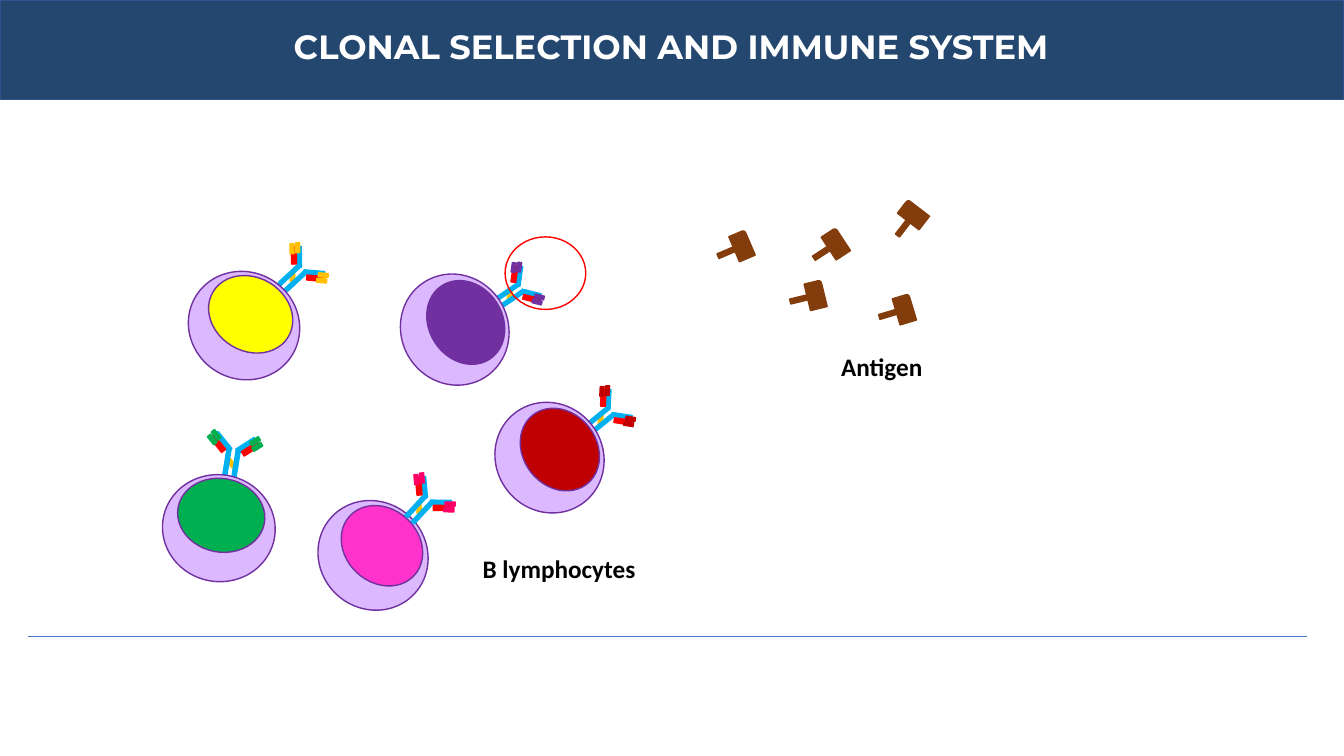
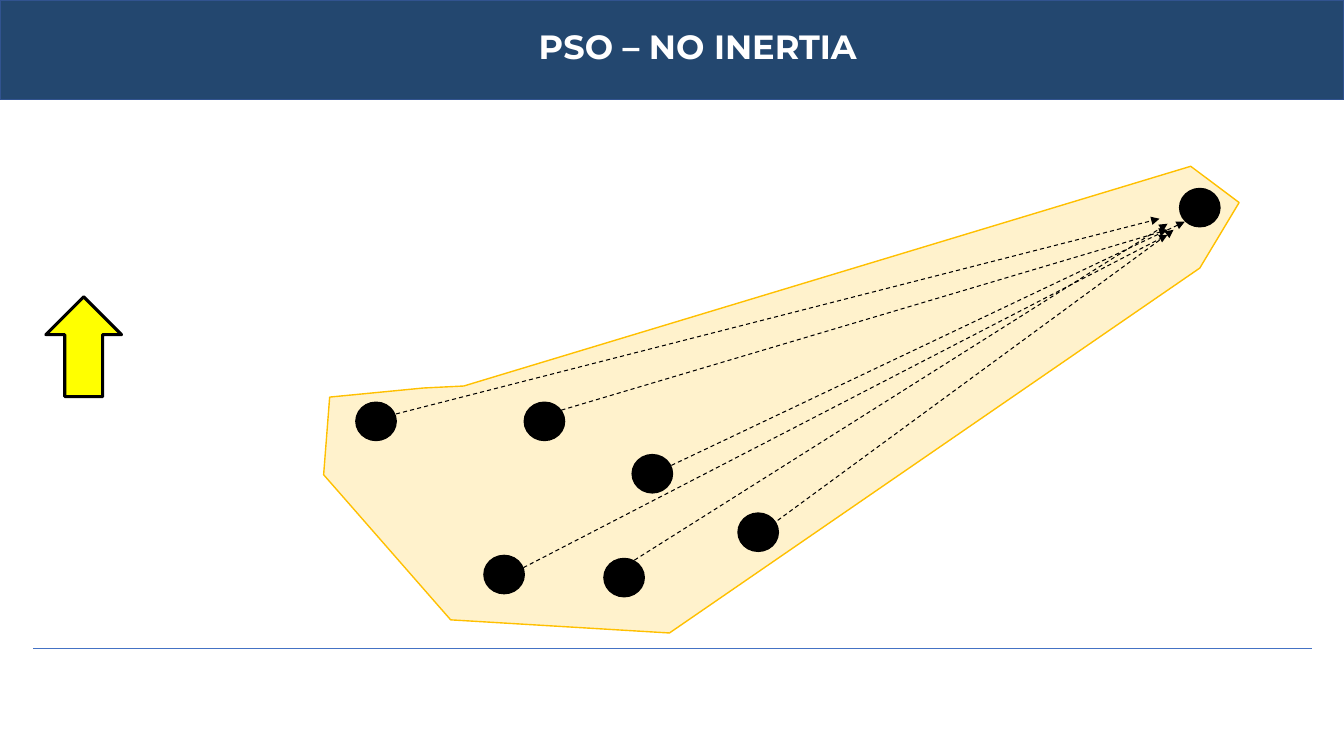
import math

from lxml import etree
from pptx import Presentation
from pptx.dml.color import RGBColor
from pptx.enum.dml import MSO_LINE
from pptx.enum.shapes import MSO_CONNECTOR, MSO_SHAPE
from pptx.enum.text import MSO_ANCHOR, PP_ALIGN
from pptx.oxml.ns import qn
from pptx.util import Inches, Pt

RECT, OVAL = MSO_SHAPE.RECTANGLE, MSO_SHAPE.OVAL
ROUND_ONE, UP_ARROW = MSO_SHAPE.ROUND_1_RECTANGLE, MSO_SHAPE.UP_ARROW
STRAIGHT, CURVE = MSO_CONNECTOR.STRAIGHT, MSO_CONNECTOR.CURVE
DASH, CENTER, MIDDLE = MSO_LINE.DASH, PP_ALIGN.CENTER, MSO_ANCHOR.MIDDLE
TITLE_ONLY = 5

THEME = {
    "band": "23476F", "band_edge": "31538F", "rule": "4472C4",
    "cell": "DCB9FF", "cell_edge": "7030A0", "chain": "00B0F0",
    "light_chain": "FF0000", "bond": "FFC000", "antigen": "833C0B",
    "swarm": "FFF2CC", "swarm_edge": "FFC000", "ink": "000000",
    "arrow": "FFFF00",
    "title_font": {"name": "Montserrat", "size": Pt(24), "bold": True},
    "label_font": {"name": "Calibri", "size": Pt(18), "bold": True},
    "title_color": "FFFFFF",
}
SLIDE_W, SLIDE_H = 13.33, 7.5
BAND_H, RULE_LENGTH = 0.99, 12.68

# Title, title width, start of the lower rule
CLONAL = ("CLONAL SELECTION AND IMMUNE SYSTEM", 7.75, (0.28, 6.31))
PSO = ("PSO – NO INERTIA", 8.28, (0.33, 6.43))

# Cell centre and tilt, receptor centre, tilt and scale,
# nucleus and tip colours, receptor in front of the cell
LYMPHOCYTES = [
    ((3.70, 5.51), 42.9, (4.155, 5.055), 42.9, 1.0, "FF33CC", "FF0066", True),
    ((2.42, 3.23), 30.9, (2.90, 2.76), 47.1, 0.98, "FFFF00", "FFC000", False),
    ((4.51, 3.27), 57.1, (5.055, 2.93), 55.9, 0.94, "7030A0", "7030A0", False),
    ((2.17, 5.24), 10.8, (2.295, 4.60), 9.3, 1.03, "00B050", "00B050", False),
    ((5.45, 4.54), 52.0, (5.955, 4.165), 50.8, 0.95, "C00000", "C00000", False),
]
CELL_SIZE, NUCLEUS_SIZE, NUCLEUS_RISE = (1.12, 1.06), (0.87, 0.73), 0.13

# Right half of an upright receptor: offset, size, tilt, colour (None: tip)
RECEPTOR_HALF = [
    ((0.045, 0), (0.04, 0.27), 0, "chain"),
    ((0.11, -0.20), (0.04, 0.21), 48, "chain"),
    ((0.16, -0.17), (0.05, 0.18), 48, "light_chain"),
    ((0.19, -0.25), (0.04, 0.10), 48, None),
    ((0.22, -0.20), (0.04, 0.10), 48, None),
]
BONDS = [(0, 0.015), (0, -0.02)]
BOND_SIZE = (0.11, 0.05)

# Head centre and tilt
ANTIGENS = [
    ((8.29, 2.42), -33.2), ((7.36, 2.44), -23.1), ((8.97, 3.07), -16.7),
    ((9.06, 2.13), -52.4), ((8.09, 2.93), -13.7),
]
LABELS = [("B lymphocytes", 4.47, 5.44, 2.15), ("Antigen", 7.89, 3.44, 1.71)]
BINDING_SITE = ((5.41, 2.71), (0.8, 0.72))

SWARM_OUTLINE = [
    (3.27, 3.94), (4.2, 3.85), (4.6, 3.83), (11.81, 1.65), (12.29, 2.01),
    (11.9, 2.66), (6.64, 6.28), (4.47, 6.15), (3.21, 4.71),
]
# Particle centre, start and end of its move
PARTICLES = [
    ((3.73, 4.18), (3.72, 4.16), (11.5, 2.17)),
    ((5.40, 4.18), (5.43, 4.11), (11.58, 2.28)),
    ((6.47, 4.70), (6.40, 4.74), (11.75, 2.20)),
    ((5.00, 5.70), (5.00, 5.73), (11.58, 2.33)),
    ((7.52, 5.28), (7.54, 5.29), (11.64, 2.28)),
    ((6.19, 5.73), (6.05, 5.71), (11.58, 2.22)),
]
BEST_PARTICLE = (11.9, 2.06)
PARTICLE_SIZE = (0.4, 0.38)


def rgb(color):
    return RGBColor.from_string(THEME.get(color, color))


def paint(shape, fill, edge, width=1):
    shape.shadow.inherit = False
    if fill:
        shape.fill.solid()
        shape.fill.fore_color.rgb = rgb(fill)
    else:
        shape.fill.background()
    shape.line.color.rgb = rgb(edge)
    shape.line.width = Pt(width)


def add_part(shapes, kind, center, size, fill, edge=None, tilt=0, width=1):
    """Add a preset shape around its centre."""
    left, top = (c - s / 2 for c, s in zip(center, size))
    part = shapes.add_shape(kind, *map(Inches, (left, top, *size)))
    part.rotation = tilt % 360
    paint(part, fill, edge or fill, width)
    return part


def add_line(shapes, start, end, color, width, kind=STRAIGHT):
    line = shapes.add_connector(kind, *map(Inches, (*start, *end)))
    line.line.color.rgb = rgb(color)
    line.line.width = Pt(width)
    etree.SubElement(line._element.spPr, qn("a:effectLst"))
    return line


def write(frame, text, font, color):
    frame.word_wrap = True
    frame.text = text
    paragraph = frame.paragraphs[0]
    paragraph.alignment = CENTER
    for key, value in THEME[font].items():
        setattr(paragraph.font, key, value)
    paragraph.font.color.rgb = rgb(color)


def turned(origin, offset, tilt, scale=1):
    """Point at an offset from origin, in a frame turned by tilt degrees."""
    cos, sin = math.cos(math.radians(tilt)), math.sin(math.radians(tilt))
    x, y = (scale * value for value in offset)
    return origin[0] + x * cos - y * sin, origin[1] + x * sin + y * cos


def add_slide(prs, title, title_width, rule_start):
    slide = prs.slides.add_slide(prs.slide_layouts[TITLE_ONLY])
    shapes = slide.shapes
    # Band behind the title
    band = add_part(shapes, RECT, (SLIDE_W / 2, BAND_H / 2),
                    (SLIDE_W, BAND_H), "band", "band_edge")
    shapes._spTree.insert(2, band._element)
    # Title
    heading = shapes.title
    box = {"left": 2.78, "top": 0.21, "width": title_width, "height": 0.5}
    for key, value in box.items():
        setattr(heading, key, Inches(value))
    heading.text_frame.vertical_anchor = MIDDLE
    write(heading.text_frame, title, "title_font", "title_color")
    # Lower rule
    x, y = rule_start
    add_line(shapes, rule_start, (x + RULE_LENGTH, y), "rule", 0.75)
    return shapes


def add_receptor(shapes, center, tilt, scale, tip):
    for offset in BONDS:
        x, y = turned(center, offset, tilt, scale)
        dx, dy = (scale * side / 2 for side in BOND_SIZE)
        bond = add_line(shapes, (x - dx, y - dy), (x + dx, y + dy),
                        "bond", 2.25, CURVE)
        bond.rotation = tilt
    for side in (-1, 1):
        for (x, y), size, lean, color in RECEPTOR_HALF:
            add_part(shapes, RECT, turned(center, (side * x, y), tilt, scale),
                     [scale * length for length in size], color or tip,
                     tilt=tilt + side * lean)


def add_cell(shapes, center, tilt, nucleus):
    add_part(shapes, OVAL, center, CELL_SIZE, "cell", "cell_edge", tilt)
    add_part(shapes, OVAL, turned(center, (0, -NUCLEUS_RISE), tilt),
             NUCLEUS_SIZE, nucleus, "cell_edge", tilt)


def build_clonal(prs):
    shapes = add_slide(prs, *CLONAL)
    # B lymphocytes
    for center, tilt, joint, lean, scale, nucleus, tip, front in LYMPHOCYTES:
        group = shapes.add_group_shape().shapes
        if front:
            add_cell(group, center, tilt, nucleus)
        add_receptor(group, joint, lean, scale, tip)
        if not front:
            add_cell(group, center, tilt, nucleus)
    # Antigens
    for center, tilt in ANTIGENS:
        group = shapes.add_group_shape().shapes
        add_part(group, ROUND_ONE, center, (0.17, 0.27), "antigen", tilt=tilt)
        add_part(group, ROUND_ONE, turned(center, (-0.12, 0), tilt),
                 (0.28, 0.05), "antigen", tilt=tilt)
    # Labels
    for text, left, top, width in LABELS:
        label = shapes.add_textbox(*map(Inches, (left, top, width, 0.4)))
        write(label.text_frame, text, "label_font", "ink")
    # Binding site
    add_part(shapes, OVAL, *BINDING_SITE, None, "light_chain")


def build_pso(prs):
    shapes = add_slide(prs, *PSO)
    # Direction arrow
    add_part(shapes, UP_ARROW, (0.83, 3.44), (0.75, 0.99), "arrow", "ink",
             width=2.25)
    # Swarm area
    corners = [tuple(map(Inches, corner)) for corner in SWARM_OUTLINE]
    outline = shapes.build_freeform(*corners[0])
    outline.add_line_segments(corners[1:], close=True)
    paint(outline.convert_to_shape(), "swarm", "swarm_edge")
    # Particles
    for center in [particle[0] for particle in PARTICLES] + [BEST_PARTICLE]:
        add_part(shapes, OVAL, center, PARTICLE_SIZE, "ink")
    # Moves towards the best particle
    for _, start, end in PARTICLES:
        move = add_line(shapes, start, end, "ink", 0.75)
        move.line.dash_style = DASH
        etree.SubElement(move.line._get_or_add_ln(), qn("a:tailEnd"),
                         type="triangle")


def main():
    prs = Presentation()
    prs.slide_width, prs.slide_height = Inches(SLIDE_W), Inches(SLIDE_H)
    build_clonal(prs)
    build_pso(prs)
    prs.save("out.pptx")


if __name__ == "__main__":
    main()
